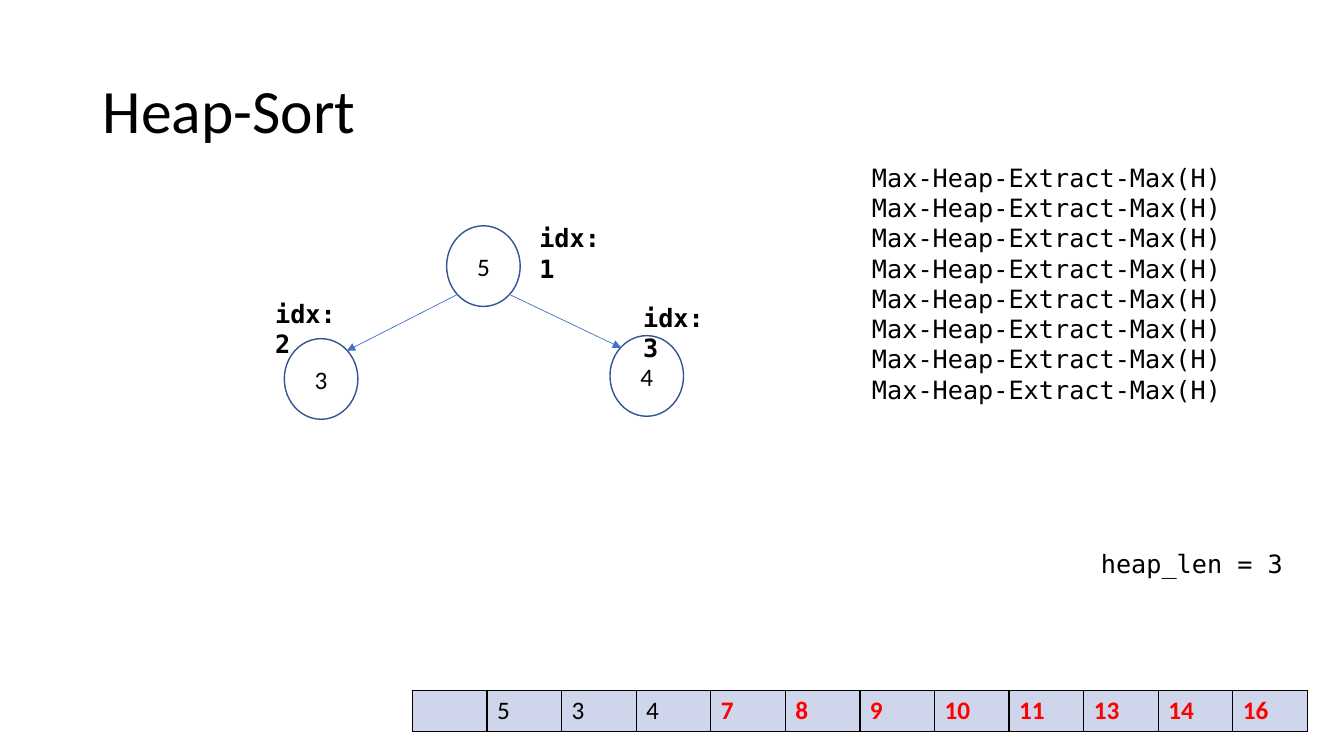
from dataclasses import dataclass
from math import sqrt

from lxml import etree
from pptx import Presentation
from pptx import util as u
from pptx.dml.color import RGBColor
from pptx.enum import shapes, text
from pptx.oxml import ns

PX = 9144
BLACK = RGBColor(0x00, 0x00, 0x00)
RED = RGBColor(0xFF, 0x00, 0x00)
NODE_EDGE = RGBColor(0x32, 0x54, 0x91)
ARROW_BLUE = RGBColor(0x44, 0x72, 0xC4)
CELL_FILL = RGBColor(0xCF, 0xD5, 0xEA)
SANS = "Calibri"
MONO = "DejaVu Sans Mono"
NODE_W, NODE_H = 73, 80
NEAR = (1 - 1 / sqrt(2)) / 2
FAR = 1 - NEAR
CELL_W, CELL_H = 74, 41


@dataclass(frozen=True)
class Node:
    key: str
    left: int
    top: int

    def point(self, across: float, down: float) -> tuple[int, int]:
        return px(round(self.left + NODE_W * across)), px(round(self.top + NODE_H * down))


@dataclass(frozen=True)
class Note:
    lines: tuple[str, ...]
    left: int
    top: int
    width: int
    height: int
    bold: bool = False


ROOT = Node("5", 443, 224)
LEFT_CHILD = Node("3", 282, 336)
RIGHT_CHILD = Node("4", 605, 333)
INDEX_LABELS = (
    Note(("idx:1",), 525, 216, 91, 40, True),
    Note(("idx:2",), 263, 291, 91, 40, True),
    Note(("idx:3",), 628, 295, 91, 40, True),
)
HEAP_LENGTH = Note(("heap_len = 3",), 1082, 539, 217, 40)
CALLS = Note(("Max-Heap-Extract-Max(H)",) * 8, 855, 156, 375, 434)
HEAP_KEYS = ("", "5", "3", "4")
SORTED_KEYS = ("7", "8", "9", "10", "11", "13", "14", "16")


def px(length: int) -> int:
    return u.Emu(length * PX)


def add_run(paragraph, words: str, font: str, size: int = 18,
            color: RGBColor = BLACK, bold: bool = False) -> None:
    run = paragraph.add_run()
    run.text = words
    run.font.name = font
    run.font.size = u.Pt(size)
    run.font.bold = bold
    run.font.color.rgb = color


def add_title(slide, words: str) -> None:
    title = slide.shapes.title
    title.left, title.top, title.width, title.height = map(px, (92, 40, 1150, 145))
    frame = title.text_frame
    frame.vertical_anchor = text.MSO_ANCHOR.MIDDLE
    paragraph = frame.paragraphs[0]
    paragraph.alignment = text.PP_ALIGN.LEFT
    paragraph.line_spacing = 0.9
    add_run(paragraph, words, SANS, 44)


def add_node(slide, node: Node) -> None:
    circle = slide.shapes.add_shape(
        shapes.MSO_SHAPE.OVAL, px(node.left), px(node.top), px(NODE_W), px(NODE_H))
    circle.shadow.inherit = False
    circle.fill.background()
    circle.line.color.rgb = NODE_EDGE
    circle.line.width = u.Pt(1)
    frame = circle.text_frame
    frame.vertical_anchor = text.MSO_ANCHOR.MIDDLE
    paragraph = frame.paragraphs[0]
    paragraph.alignment = text.PP_ALIGN.CENTER
    add_run(paragraph, node.key, SANS)


def add_edge(slide, start: tuple[int, int], end: tuple[int, int]) -> None:
    arrow = slide.shapes.add_connector(shapes.MSO_CONNECTOR.STRAIGHT, *start, *end)
    arrow.line.color.rgb = ARROW_BLUE
    arrow.line.width = u.Pt(0.5)
    etree.SubElement(arrow.line._get_or_add_ln(), ns.qn("a:tailEnd"), type="triangle")
    etree.SubElement(arrow._element.spPr, ns.qn("a:effectLst"))


def add_note(slide, note: Note) -> None:
    box = slide.shapes.add_textbox(
        px(note.left), px(note.top), px(note.width), px(note.height))
    frame = box.text_frame
    frame.word_wrap = True
    for number, line in enumerate(note.lines):
        paragraph = frame.add_paragraph() if number else frame.paragraphs[0]
        add_run(paragraph, line, MONO, bold=note.bold)


def add_borders(cell) -> None:
    properties = cell._tc.get_or_add_tcPr()
    for position, side in enumerate(("lnL", "lnR", "lnT", "lnB")):
        border = etree.Element(ns.qn(f"a:{side}"), w=str(u.Pt(1)))
        fill = etree.SubElement(border, ns.qn("a:solidFill"))
        etree.SubElement(fill, ns.qn("a:srgbClr"), val=str(BLACK))
        properties.insert(position, border)


def add_array(slide, heap: tuple[str, ...], done: tuple[str, ...]) -> None:
    keys = heap + done
    array = slide.shapes.add_table(
        1, len(keys), px(409), px(685), px(CELL_W * len(keys)), px(CELL_H)).table
    array.first_row = False
    array.horz_banding = False
    for column, key in enumerate(keys):
        array.columns[column].width = px(CELL_W)
        cell = array.cell(0, column)
        cell.fill.solid()
        cell.fill.fore_color.rgb = CELL_FILL
        add_borders(cell)
        if key:
            is_sorted = column >= len(heap)
            add_run(cell.text_frame.paragraphs[0], key, SANS,
                    color=RED if is_sorted else BLACK, bold=is_sorted)


def main() -> None:
    deck = Presentation()
    deck.slide_width, deck.slide_height = px(1333), px(750)
    slide = deck.slides.add_slide(deck.slide_layouts[5])
    add_title(slide, "Heap-Sort")
    for node in (ROOT, LEFT_CHILD, RIGHT_CHILD):
        add_node(slide, node)
    add_edge(slide, ROOT.point(NEAR, FAR), LEFT_CHILD.point(FAR, NEAR))
    add_edge(slide, ROOT.point(FAR, FAR), RIGHT_CHILD.point(NEAR, NEAR))
    for label in INDEX_LABELS:
        add_note(slide, label)
    add_array(slide, HEAP_KEYS, SORTED_KEYS)
    add_note(slide, HEAP_LENGTH)
    add_note(slide, CALLS)
    deck.save("out.pptx")


if __name__ == "__main__":
    main()
